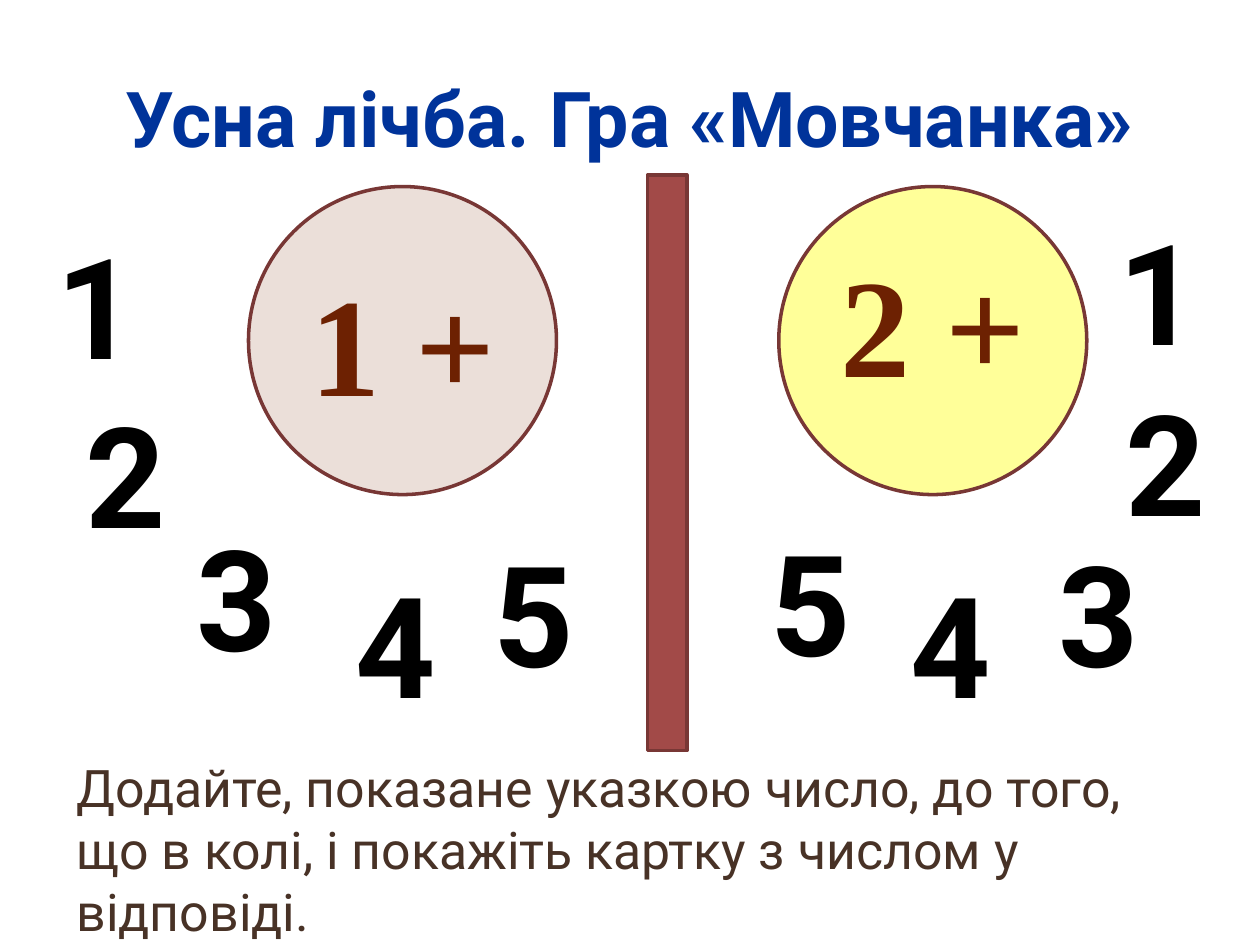
from pptx import Presentation
from pptx.dml.color import RGBColor
from pptx.enum.shapes import MSO_SHAPE
from pptx.enum.text import MSO_ANCHOR, PP_ALIGN
from pptx.util import Pt

CIRCLE_SIZE = 176
DIGIT_WIDTH, DIGIT_HEIGHT = 68, 104


def color(hex_string):
    return RGBColor.from_string(hex_string)


def write(shape, text, size, hex_color, font="Roboto", bold=False,
          align=PP_ALIGN.LEFT, anchor=MSO_ANCHOR.TOP):
    frame = shape.text_frame
    frame.word_wrap = True
    frame.vertical_anchor = anchor
    paragraph = frame.paragraphs[0]
    paragraph.alignment = align
    run = paragraph.add_run()
    run.text = text
    run.font.name = font
    run.font.size = Pt(size)
    run.font.bold = bold
    run.font.color.rgb = color(hex_color)


def add_text(slide, box, text, size, hex_color, **text_format):
    shape = slide.shapes.add_textbox(*map(Pt, box))
    write(shape, text, size, hex_color, **text_format)


def add_filled(slide, kind, box, fill):
    shape = slide.shapes.add_shape(kind, *map(Pt, box))
    shape.shadow.inherit = False
    shape.fill.solid()
    shape.fill.fore_color.rgb = color(fill)
    shape.line.color.rgb = color("783735")
    shape.line.width = Pt(2)
    return shape


def add_game_half(slide, left, top, sum_text, fill, circle_offset,
                  digit_offsets, lift=0):
    """Circle with a sum, and the digits 1 to 5 around it; lift raises the sum."""
    circle = add_filled(slide, MSO_SHAPE.OVAL,
                        (left + circle_offset, top, CIRCLE_SIZE, CIRCLE_SIZE), fill)
    write(circle, sum_text, 80, "6D2102", font="Times New Roman", bold=True,
          align=PP_ALIGN.CENTER, anchor=MSO_ANCHOR.MIDDLE)
    circle.text_frame.margin_bottom = Pt(3.6 + 2 * lift)
    for digit, (x, y) in enumerate(digit_offsets, start=1):
        add_text(slide, (left + x, top + y, DIGIT_WIDTH, DIGIT_HEIGHT),
                 str(digit), 80, "000000", bold=True)


def main():
    presentation = Presentation()
    presentation.slide_width = Pt(720)
    presentation.slide_height = Pt(540)
    slide = presentation.slides.add_slide(presentation.slide_layouts[6])

    add_text(slide, (36, 21.6, 648, 90), "Усна лічба. Гра «Мовчанка»", 44, "00339A",
             bold=True, align=PP_ALIGN.CENTER, anchor=MSO_ANCHOR.MIDDLE)
    add_text(slide, (36.7, 428.4, 648, 88),
             "Додайте, показане указкою число, до того, що в колі, "
             "і покажіть картку з числом у відповіді.", 29.6, "483226")
    add_game_half(slide, 25, 106.6, "1 +", "EBDFD9", 117,
                  [(0, 15), (17, 112), (80, 182), (171, 209), (250, 191)])
    add_filled(slide, MSO_SHAPE.RECTANGLE, (370, 100, 22.5, 329), "A24A48")
    add_game_half(slide, 433, 106.6, "2 +", "FFFF99", 12,
                  [(199, 7), (203, 105), (165, 191), (80, 209), (0, 185)], lift=11)
    presentation.save("out.pptx")


if __name__ == "__main__":
    main()
